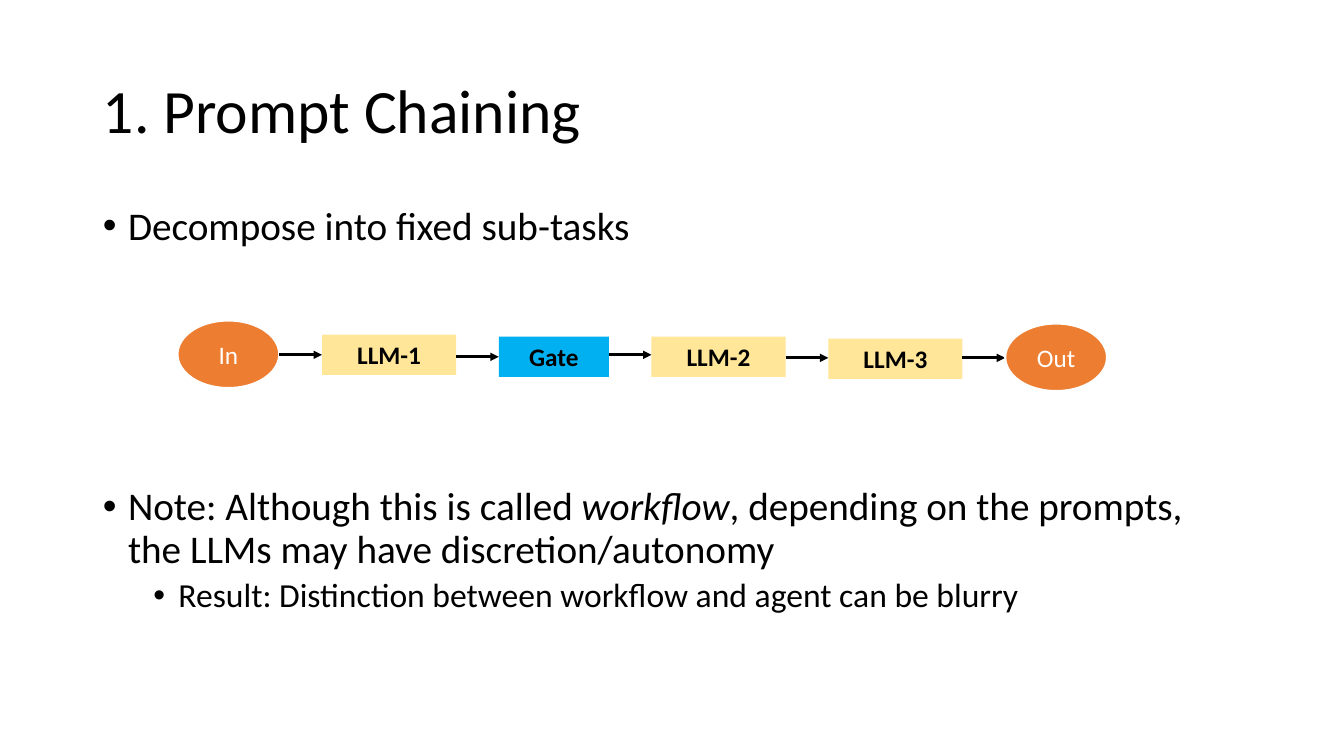
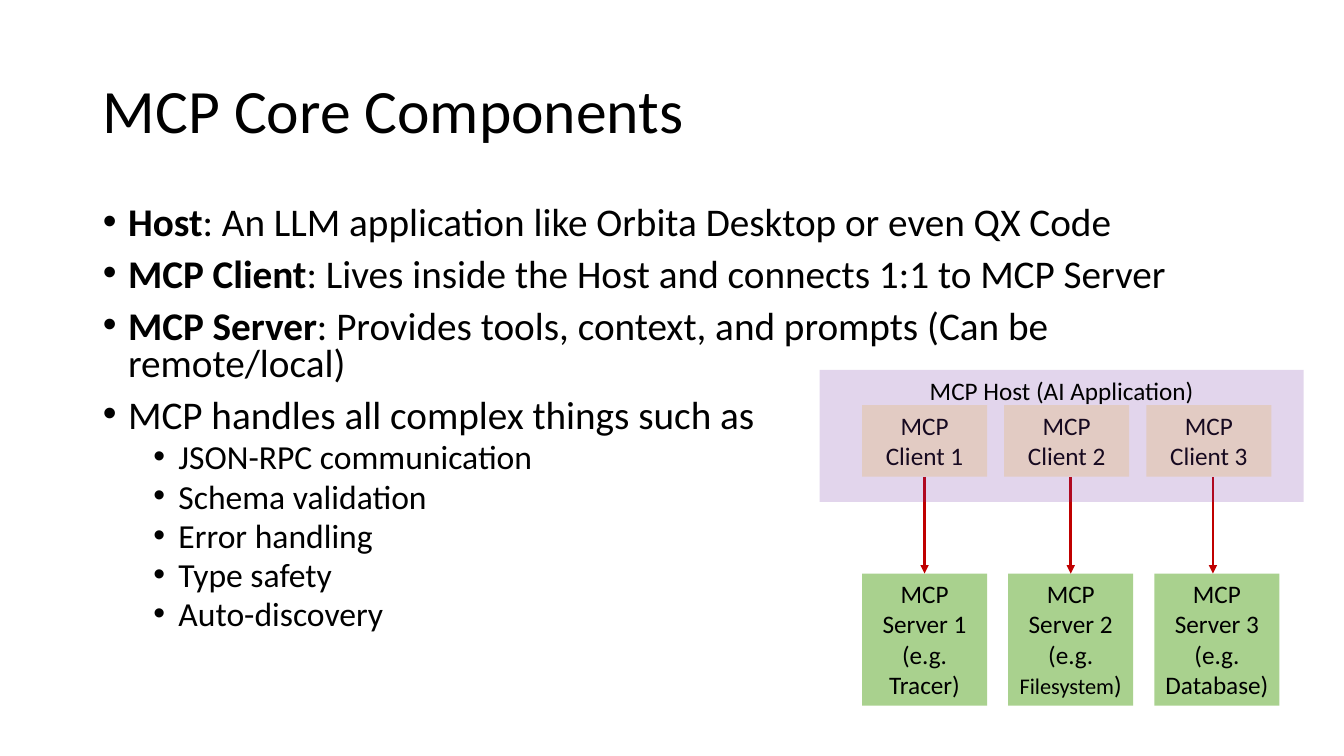
from lxml import etree
from pptx import Presentation
from pptx.dml.color import RGBColor
from pptx.enum import shapes, text
from pptx.oxml import ns
from pptx.util import Inches, Pt

# Shared look
FONT = "Calibri"
BLACK = RGBColor(0x00, 0x00, 0x00)
WHITE = RGBColor(0xFF, 0xFF, 0xFF)
ORANGE = RGBColor(0xED, 0x7D, 0x31)
YELLOW = RGBColor(0xFF, 0xE6, 0x99)
BLUE = RGBColor(0x00, 0xB0, 0xF0)
CREAM = RGBColor(0xFF, 0xF2, 0xCC)
GREEN = RGBColor(0xA9, 0xD1, 0x8E)
RED = RGBColor(0xC0, 0x00, 0x00)
PURPLE = RGBColor(0x70, 0x30, 0xA0)

TITLE_BOX = (0.92, 0.4, 11.5, 1.45)
BODY_BOX = (0.92, 2, 11.5, 4.76)
LEVELS = [  # size, space before, left indent
    {"size": 28, "before": 10, "indent": 0.25},
    {"size": 24, "before": 5, "indent": 0.75},
]
BOLD = {"bold": True}
ITALIC = {"italic": True}
RECT = shapes.MSO_SHAPE.RECTANGLE
OVAL = shapes.MSO_SHAPE.OVAL


def sub(parent, tag, **attrs):
    """Append a DrawingML child element."""
    return etree.SubElement(parent, ns.qn(tag), attrs)


def add_runs(p, runs, size, color=BLACK, **base):
    """Fill a paragraph from a string or a list of (text, format) pairs."""
    if isinstance(runs, str):
        runs = [(runs, {})]
    for words, extra in runs:
        r = p.add_run()
        r.text = words
        style = {"name": FONT, "size": Pt(size), **base, **extra}
        for key, value in style.items():
            setattr(r.font, key, value)
        r.font.color.rgb = color


def place(sp, box):
    sp.left, sp.top, sp.width, sp.height = map(Inches, box)


def add_bullet(p, runs, level, spacing, before=None):
    look = LEVELS[level]
    gap = look["before"] if before is None else before
    style = {"level": level, "line_spacing": spacing, "space_before": Pt(gap)}
    for key, value in style.items():
        setattr(p, key, value)
    pPr = p._p.get_or_add_pPr()
    pPr.set("marL", str(Inches(look["indent"])))
    pPr.set("indent", str(Inches(-0.25)))
    sub(pPr, "a:buFont", typeface="Arial")
    sub(pPr, "a:buChar", char="•")
    add_runs(p, runs, look["size"])


def add_slide(prs, title, bullets, spacing):
    """Title and bulleted list; each bullet is (level, runs[, space before])."""
    s = prs.slides.add_slide(prs.slide_layouts[1])
    heading, body = s.placeholders
    place(heading, TITLE_BOX)
    place(body, BODY_BOX)
    for sp, anchor in ((heading, text.MSO_ANCHOR.MIDDLE), (body, text.MSO_ANCHOR.TOP)):
        sp.text_frame.auto_size = text.MSO_AUTO_SIZE.NONE
        sp.text_frame.vertical_anchor = anchor
    p = heading.text_frame.paragraphs[0]
    p.alignment = text.PP_ALIGN.LEFT
    p.line_spacing = 0.9
    add_runs(p, title, 44)
    tf = body.text_frame
    for i, (level, runs, *before) in enumerate(bullets):
        p = tf.add_paragraph() if i else tf.paragraphs[0]
        add_bullet(p, runs, level, spacing, *before)
    return s


def add_box(s, box, runs, fill, kind=RECT, color=BLACK, line=None, alpha=None, **font):
    sp = s.shapes.add_shape(kind, *map(Inches, box))
    sp.shadow.inherit = False
    sp.fill.solid()
    sp.fill.fore_color.rgb = fill
    if alpha is not None:
        clr = sp.fill._xPr.find(".//" + ns.qn("a:srgbClr"))
        sub(clr, "a:alpha", val=str(alpha * 1000))
    if line is None:
        sp.line.fill.background()
    else:
        sp.line.color.rgb = line
        sp.line.width = Pt(1.5)
    tf = sp.text_frame
    tf.word_wrap = True
    tf.vertical_anchor = text.MSO_ANCHOR.TOP if kind == RECT else text.MSO_ANCHOR.MIDDLE
    p = tf.paragraphs[0]
    p.alignment = text.PP_ALIGN.CENTER
    add_runs(p, runs, 18, color, **font)


def add_arrow(s, x1, y1, x2, y2, color):
    c = s.shapes.add_connector(shapes.MSO_CONNECTOR.STRAIGHT, *map(Inches, (x1, y1, x2, y2)))
    c.line.color.rgb = color
    c.line.width = Pt(2)
    sub(c.line._get_or_add_ln(), "a:tailEnd", type="triangle")
    sub(c._element.spPr, "a:effectLst")


def add_chain(s):
    """Row of steps between fixed ends, with equal gaps and arrows."""
    end = {"kind": OVAL, "fill": ORANGE, "color": WHITE, "line": WHITE}
    model = {"fill": YELLOW, **BOLD}
    steps = [  # label, top, width, height, look, height of the outgoing arrow
        ("In", 3.18, 1.01, 0.67, end, 3.52),
        ("LLM-1", 3.32, 1.33, 0.4, model, 3.54),
        ("Gate", 3.34, 1.09, 0.4, {"fill": BLUE, **BOLD}, 3.52),
        ("LLM-2", 3.34, 1.33, 0.4, model, 3.55),
        ("LLM-3", 3.36, 1.33, 0.4, model, 3.55),
        ("Out", 3.21, 1.01, 0.67, end, None),
    ]
    left, right = 1.76, 10.98
    gap = (right - left - sum(step[2] for step in steps)) / (len(steps) - 1)
    x = left
    for label, top, width, height, look, arrow_y in steps:
        add_box(s, (x, top, width, height), label, **look)
        x += width
        if arrow_y is not None:
            add_arrow(s, x, arrow_y, x + gap, arrow_y, BLACK)
        x += gap


def add_host_diagram(s):
    """Clients inside a host, each linked to a server below."""
    left, width, client_step, server_step = 8.55, 1.24, 1.41, 1.45
    servers = [
        "MCP Server 1 (e.g. Tracer)",
        [("MCP Server 2 (e.g. ", {}), ("Filesystem", {"size": Pt(16)}), (")", {})],
        "MCP Server 3 (e.g. Database)",
    ]
    for i, (server, arrow_x) in enumerate(zip(servers, (9.17, 10.62, 12.03))):
        add_box(s, (left + i * client_step, 4.02, width, 0.71), f"MCP Client {i + 1}", CREAM)
        add_box(s, (left + i * server_step, 5.69, width, 1.31), server, GREEN)
        add_arrow(s, arrow_x, 4.73, arrow_x, 5.69, RED)
    # Translucent host over the clients
    add_box(s, (8.13, 3.67, 4.8, 1.31), "MCP Host (AI Application)", PURPLE, alpha=20)


def main():
    prs = Presentation()
    prs.slide_width, prs.slide_height = Inches(13.33), Inches(7.5)

    # Prompt chaining
    note = [
        ("Note: Although this is called ", {}),
        ("workflow", ITALIC),
        (", depending on the prompts, the LLMs may have discretion/autonomy", {}),
    ]
    s = add_slide(prs, "1. Prompt Chaining", [
        (0, "Decompose into fixed sub-tasks"),
        (0, note, 170),
        (1, "Result: Distinction between workflow and agent can be blurry"),
    ], spacing=0.9)
    add_chain(s)

    # MCP components
    terms = [
        ("Host", ": An LLM application like Orbita Desktop or even QX Code"),
        ("MCP Client", ": Lives inside the Host and connects 1:1 to MCP Server"),
        ("MCP Server", ": Provides tools, context, and prompts (Can be remote/local)"),
    ]
    duties = ["JSON-RPC communication", "Schema validation", "Error handling",
              "Type safety", "Auto-discovery"]
    bullets = [(0, [(term, BOLD), (meaning, {})]) for term, meaning in terms]
    bullets.append((0, "MCP handles all complex things such as"))
    bullets += [(1, duty) for duty in duties]
    s = add_slide(prs, "MCP Core Components", bullets, spacing=0.8)
    add_host_diagram(s)

    prs.save("out.pptx")


if __name__ == "__main__":
    main()
